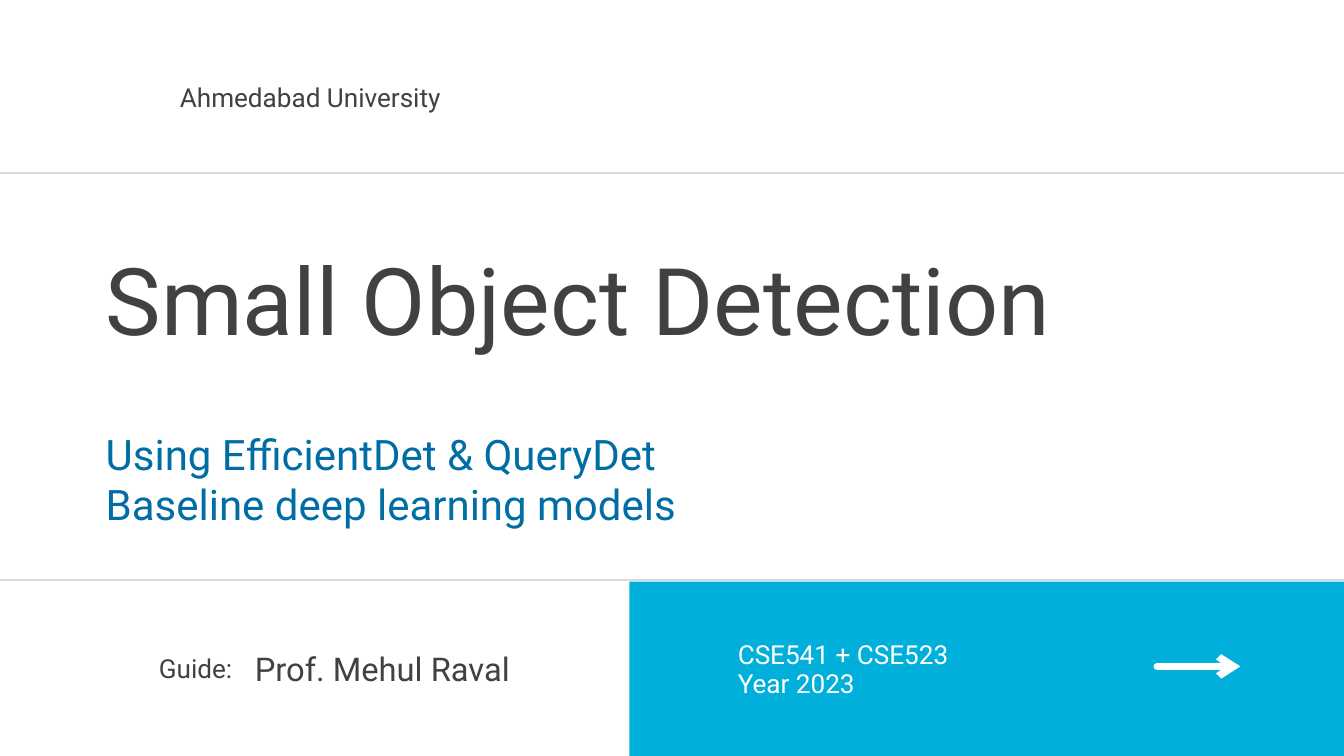
from dataclasses import dataclass

from lxml import etree
from pptx import Presentation
from pptx.dml.color import RGBColor
from pptx.enum.shapes import MSO_CONNECTOR, MSO_SHAPE
from pptx.enum.text import MSO_AUTO_SIZE
from pptx.oxml.ns import qn
from pptx.util import Emu, Pt

STRAIGHT = MSO_CONNECTOR.STRAIGHT
RECTANGLE = MSO_SHAPE.RECTANGLE
GROW = MSO_AUTO_SIZE.SHAPE_TO_FIT_TEXT

EMU_PER_PX = 9525
WIDTH, HEIGHT = 1920, 1080
FONT = "Roboto"
INK, BLUE, CYAN, WHITE, GREY = "414042", "006EA4", "00B0DB", "FFFFFF", "D9D9D9"


@dataclass(frozen=True)
class Label:
    lines: tuple[str, ...]
    left: int
    top: int
    width: int
    height: int
    size: int
    leading: float
    color: str = INK


@dataclass(frozen=True)
class Rule:
    left: int
    right: int
    y: int
    color: str = GREY
    weight: float = 2.25
    arrow: bool = False


LABELS = (
    Label(("Prof. Mehul Raval",), 364, 931, 400, 53, 35, 38.5),
    Label(("Small Object Detection",), 151, 372, 1531, 139, 100, 100),
    Label(("Using EfficientDet & QueryDet Baseline deep learning models",),
          151, 612, 945, 145, 45, 54, BLUE),
    Label(("Guide:",), 227, 936, 137, 41, 28, 30.8),
    Label(("CSE541 + CSE523", "Year 2023"), 1054, 916, 396, 83, 28, 30.8, WHITE),
    Label(("Ahmedabad University",), 257, 120, 431, 41, 28, 30.8),
)
RULES = (
    Rule(0, WIDTH, 828),
    Rule(0, WIDTH, 247),
    Rule(1653, 1772, 952, WHITE, 7.5, True),
)


def px(length: int) -> Emu:
    return Emu(length * EMU_PER_PX)


def rgb(value: str) -> RGBColor:
    return RGBColor.from_string(value)


def draw_panel(slide, left: int, top: int, color: str) -> None:
    panel = slide.shapes.add_shape(
        RECTANGLE, px(left), px(top), px(WIDTH - left), px(HEIGHT - top))
    panel.shadow.inherit = False
    panel.fill.solid()
    panel.fill.fore_color.rgb = rgb(color)
    panel.line.fill.background()


def draw_rule(slide, rule: Rule) -> None:
    connector = slide.shapes.add_connector(
        STRAIGHT, px(rule.left), px(rule.y), px(rule.right), px(rule.y))
    connector.line.color.rgb = rgb(rule.color)
    connector.line.width = Pt(rule.weight)
    properties = connector.line._get_or_add_ln()
    if rule.arrow:
        properties.set("cap", "rnd")
        etree.SubElement(properties, qn("a:tailEnd"), type="arrow")
    etree.SubElement(properties.getparent(), qn("a:effectLst"))


def draw_label(slide, label: Label) -> None:
    box = slide.shapes.add_textbox(
        px(label.left), px(label.top), px(label.width), px(label.height))
    frame = box.text_frame
    frame.word_wrap = True
    frame.auto_size = GROW
    frame.margin_left = frame.margin_right = 0
    frame.margin_top = frame.margin_bottom = 0
    for index, line in enumerate(label.lines):
        paragraph = frame.add_paragraph() if index else frame.paragraphs[0]
        paragraph.line_spacing = Pt(label.leading)
        run = paragraph.add_run()
        run.text = line
        run.font.name = FONT
        run.font.size = Pt(label.size)
        run.font.color.rgb = rgb(label.color)


def main() -> None:
    deck = Presentation()
    deck.slide_width, deck.slide_height = px(WIDTH), px(HEIGHT)
    slide = deck.slides.add_slide(deck.slide_layouts[6])
    draw_panel(slide, 899, 831, CYAN)
    for rule in RULES:
        draw_rule(slide, rule)
    for label in LABELS:
        draw_label(slide, label)
    deck.save("out.pptx")


if __name__ == "__main__":
    main()
